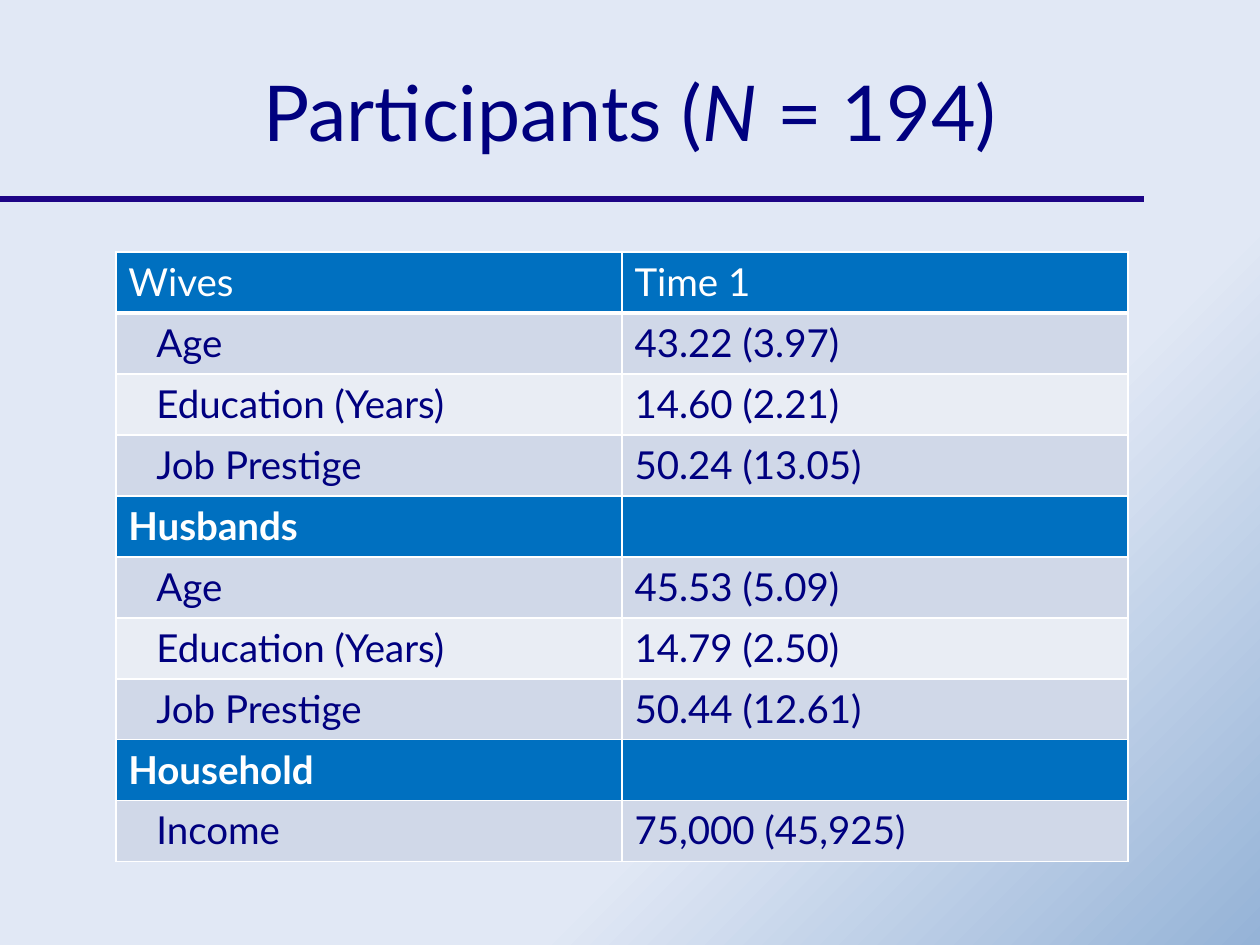
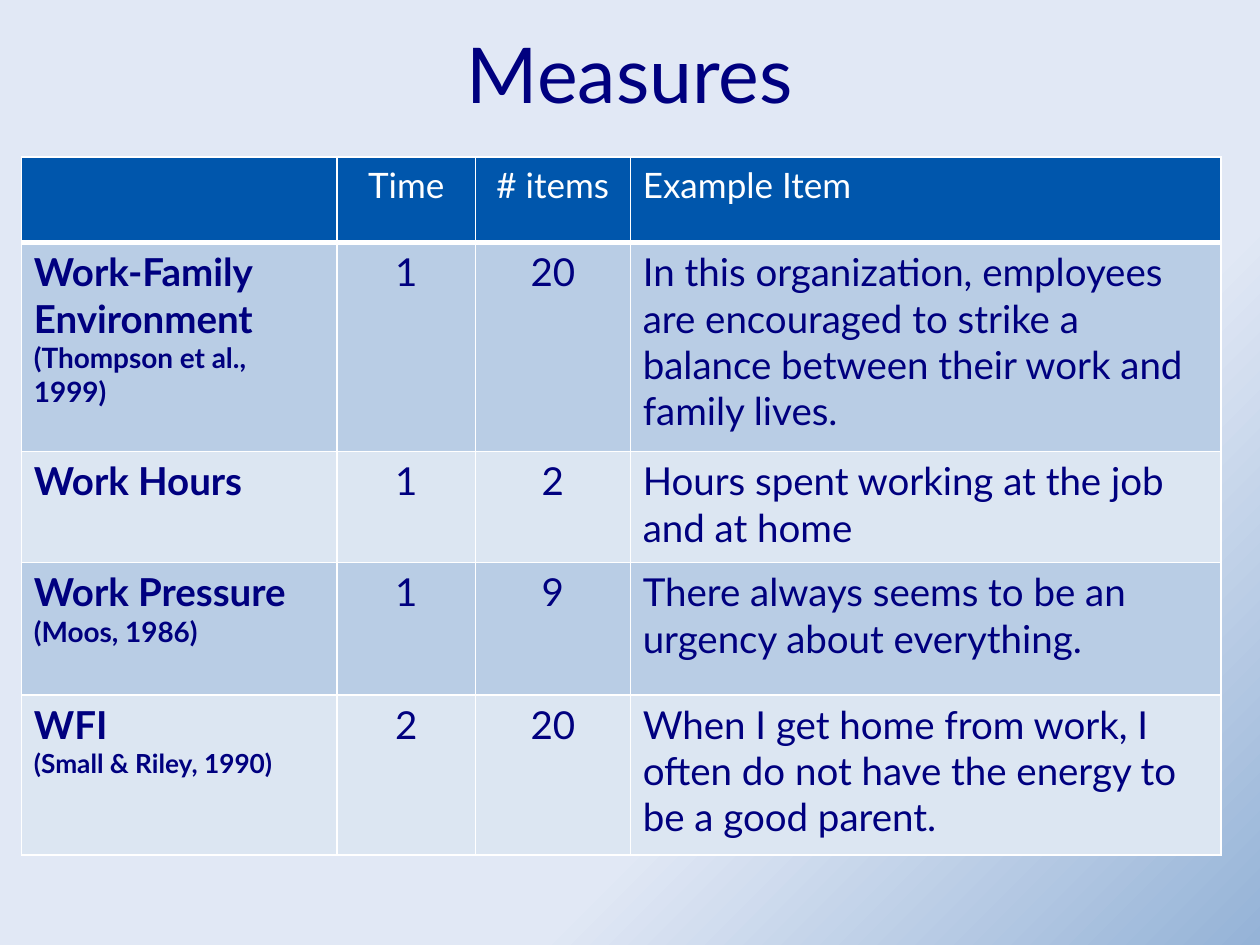
from pptx import Presentation
from pptx.util import Pt
from pptx.dml.color import RGBColor as RGB
from pptx.enum.shapes import MSO_CONNECTOR as LINK
from pptx.enum.text import PP_ALIGN as AL, MSO_ANCHOR as ANC
from pptx.oxml.ns import qn
from lxml.etree import SubElement as Sub

FONT, NAVY, WHITE = "Lato", "00007F", "FFFFFF"


def write(para, text, size=22, color=NAVY, bold=False, italic=False, align=AL.LEFT):
    para.alignment = align
    run = para.add_run()
    run.text = text
    font = run.font
    font.name, font.size, font.bold, font.italic = FONT, Pt(size), bold, italic
    font.color.rgb = RGB.from_string(color)


def dress(cell, color, head=False):
    props = cell._tc.get_or_add_tcPr()
    for side in "LRTB":
        wide = 3 if head and side == "B" else 1
        edge = Sub(props, qn("a:ln" + side), w=str(Pt(wide)))
        Sub(Sub(edge, qn("a:solidFill")), qn("a:srgbClr"), val=WHITE)
    cell.fill.solid()
    cell.fill.fore_color.rgb = RGB.from_string(color)


prs = Presentation()
prs.slide_width, prs.slide_height = Pt(720), Pt(540)

back = prs.slide_master.background.fill
back.gradient()
back.gradient_angle = 135
for stop, (color, place) in zip(back.gradient_stops, [("95B3D7", 0), ("E1E8F5", 0.33)]):
    stop.color.rgb = RGB.from_string(color)
    stop.position = place

heads = [
    (18, [("Participants (", False), ("N", True), (" = 194)", False)]),
    (-3.6, [("Measures", False)]),
]
slides = []
for top, parts in heads:
    slide = prs.slides.add_slide(prs.slide_layouts[5])
    title = slide.shapes.title
    title.left, title.top, title.width, title.height = Pt(36), Pt(top), Pt(648), Pt(90)
    title.text_frame.vertical_anchor = ANC.MIDDLE
    for text, slant in parts:
        write(title.text_frame.paragraphs[0], text, size=44, italic=slant, align=AL.CENTER)
    slides.append(slide)
people, scales = slides

rule = people.shapes.add_connector(LINK.STRAIGHT, 0, Pt(113.8), Pt(654), Pt(113.8))
rule.line.color.rgb = RGB.from_string("1D0486")
rule.line.width = Pt(3)
Sub(rule._element.spPr, qn("a:effectLst"))

groups = [
    ("Wives", "Time 1", [("Age", "43.22 (3.97)"), ("Education (Years)", "14.60 (2.21)"),
                         ("Job Prestige", "50.24 (13.05)")]),
    ("Husbands", "", [("Age", "45.53 (5.09)"), ("Education (Years)", "14.79 (2.50)"),
                      ("Job Prestige", "50.44 (12.61)")]),
    ("Household", "", [("Income", "75,000 (45,925)")]),
]
count = sum(1 + len(facts) for _, _, facts in groups)
grid = people.shapes.add_table(count, 2, Pt(66.2), Pt(144), Pt(578.4), Pt(34.84 * count)).table
for row in grid.rows:
    row.height = Pt(34.84)
at = 0
for name, note, facts in groups:
    for k, pair in enumerate([(name, note)] + facts):
        band = "0070C0" if k == 0 else "D0D8E8" if k % 2 else "E9EDF4"
        for col, text in enumerate(pair):
            cell = grid.cell(at, col)
            dress(cell, band, head=at == 0)
            if text:
                write(cell.text_frame.paragraphs[0], text,
                      color=NAVY if k else WHITE, bold=k == 0 and at > 0)
            if k and col == 0:
                cell.margin_left = Pt(23.2)
        at += 1

labels = ["", "Time", "# items", "Example Item"]
wides = [180.5, 79, 88.5, 337.5]
aligns = [AL.LEFT, AL.CENTER, AL.CENTER, AL.LEFT]
items = [
    (119.5, "Work-Family Environment", "(Thompson et al., 1999)", 16, "1", "20",
     "In this organization, employees are encouraged to strike a balance "
     "between their work and family lives."),
    (63.4, "Work Hours", "", 16, "1", "2", "Hours spent working at the job and at home"),
    (75.8, "Work Pressure", "(Moos, 1986)", 16, "1", "9",
     "There always seems to be an urgency about everything."),
    (91.3, "WFI", "(Small & Riley, 1990)", 15, "2", "20",
     "When I get home from work, I often do not have the energy to be a good parent."),
]
tall = [48.8] + [item[0] for item in items]
grid = scales.shapes.add_table(len(tall), len(wides), Pt(12.2), Pt(89.8),
                               Pt(sum(wides)), Pt(sum(tall))).table
for row, high in zip(grid.rows, tall):
    row.height = Pt(high)
for col, (wide, label, align) in enumerate(zip(wides, labels, aligns)):
    grid.columns[col].width = Pt(wide)
    cell = grid.cell(0, col)
    dress(cell, "0056AC", head=True)
    if label:
        write(cell.text_frame.paragraphs[0], label, size=20, color=WHITE, align=align)
for at, (high, name, cite, small, *rest) in enumerate(items, 1):
    for col, text in enumerate([name] + rest):
        cell = grid.cell(at, col)
        dress(cell, "B9CDE5" if at % 2 else "DCE6F2")
        write(cell.text_frame.paragraphs[0], text, bold=col == 0, align=aligns[col])
    if cite:
        write(grid.cell(at, 0).text_frame.add_paragraph(), cite, size=small, bold=True)

prs.save("out.pptx")
